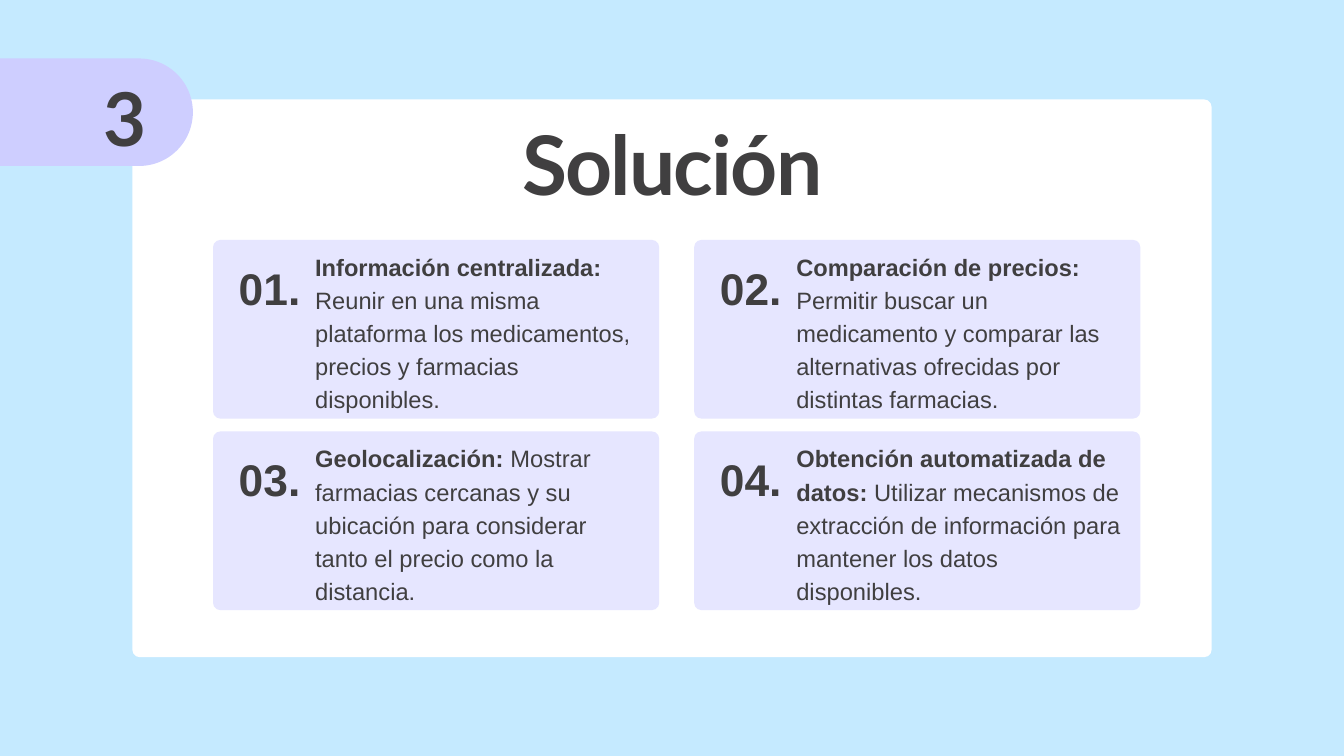
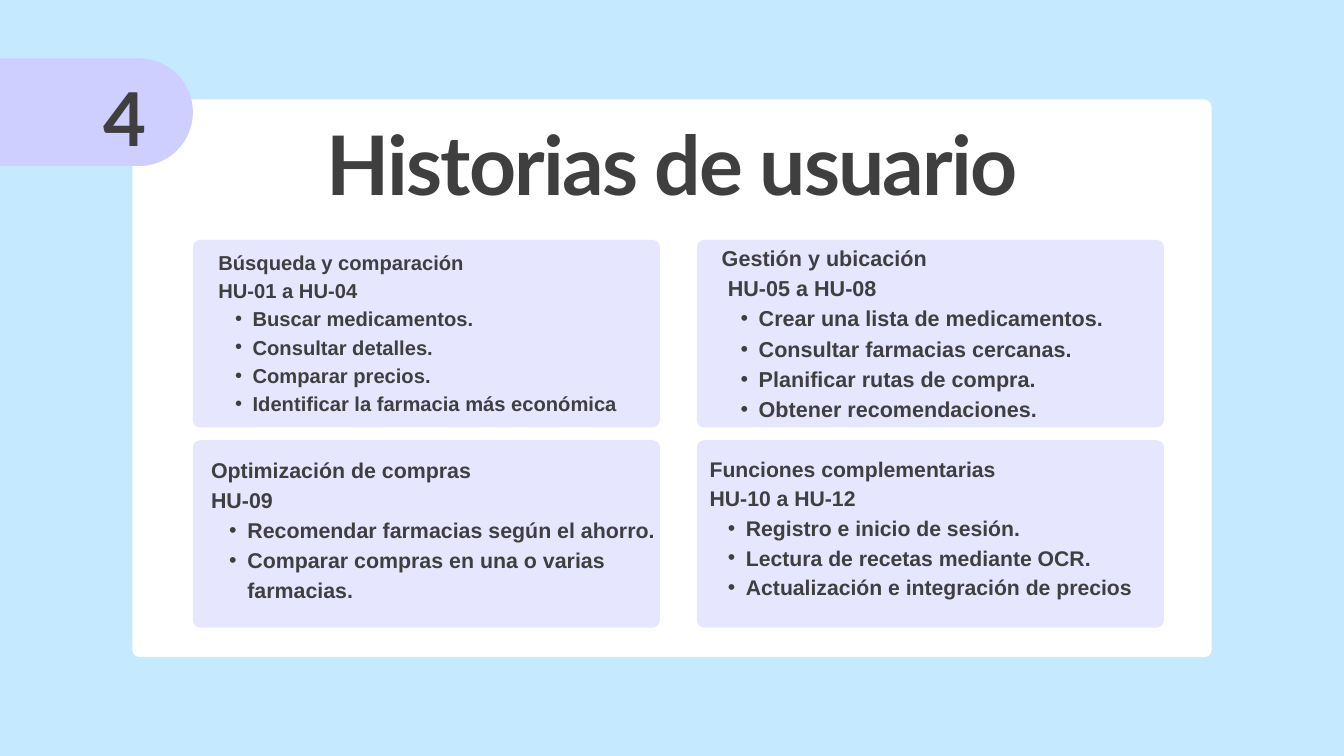
from lxml.etree import SubElement
from pptx import Presentation
from pptx.dml.color import RGBColor
from pptx.enum.shapes import MSO_SHAPE as SHAPE
from pptx.enum.text import PP_ALIGN as ALIGN
from pptx.oxml.ns import qn
from pptx.util import Pt

SKY = RGBColor(0xC5, 0xEA, 0xFF)
WHITE = RGBColor(0xFF, 0xFF, 0xFF)
LAVENDER = RGBColor(0xE6, 0xE6, 0xFF)
VIOLET = RGBColor(0xCE, 0xCE, 0xFF)
INK = RGBColor(0x40, 0x3F, 0x40)

SOLUTIONS = [
    ("01.", "Información centralizada:",
     " Reunir en una misma plataforma los medicamentos, precios y farmacias disponibles.", 25.3),
    ("02.", "Comparación de precios:",
     " Permitir buscar un medicamento y comparar las alternativas ofrecidas por distintas farmacias.", 25.3),
    ("03.", "Geolocalización:",
     " Mostrar farmacias cercanas y su ubicación para considerar tanto el precio como la distancia.", 25.4),
    ("04.", "Obtención automatizada de datos:",
     " Utilizar mecanismos de extracción de información para mantener los datos disponibles.", 25.4),
]

STORIES = [
    {"box": (325, 366, 633, 298), "size": 21.6, "leading": 30.3, "indent": 51, "hang": 26, "code_indent": 0,
     "heading": "Búsqueda y comparación", "code": "HU-01 a HU-04",
     "items": ["Buscar medicamentos.", "Consultar detalles.", "Comparar precios.",
               "Identificar la farmacia más económica"]},
    {"box": (1074, 358, 769, 313), "size": 23.1, "leading": 32.4, "indent": 55, "hang": 27, "code_indent": 9,
     "heading": "Gestión y ubicación", "code": "HU-05 a HU-08",
     "items": ["Crear una lista de medicamentos.", "Consultar farmacias cercanas.",
               "Planificar rutas de compra.", "Obtener recomendaciones."]},
    {"box": (314, 674, 688, 262), "size": 22.9, "leading": 32.1, "indent": 54, "hang": 27, "code_indent": 0,
     "heading": "Optimización de compras", "code": "HU-09",
     "items": ["Recomendar farmacias según el ahorro.",
               "Comparar compras en una o varias farmacias."]},
    {"box": (1056, 672, 658, 261), "size": 22.7, "leading": 31.8, "indent": 54, "hang": 27, "code_indent": 0,
     "heading": "Funciones complementarias", "code": "HU-10 a HU-12",
     "items": ["Registro e inicio de sesión.", "Lectura de recetas mediante OCR.",
               "Actualización e integración de precios"]},
]

PX = 9144
SLIDE_W, SLIDE_H = 2000, 1125
PANEL = (197, 148, 1606, 830)
TITLE_BOX = (176, 190, 1649, 130)
TAB_W, TAB_H, TAB_TOP = 287, 160, 87
NUMBER_BOX = (112, 85, 149, 148)
CORNER = 11
SOLUTION_GRID = {"left": 317, "top": 357, "w": 664, "h": 266, "step_x": 716, "step_y": 285}
STORY_GRID = {"left": 287, "top": 357, "w": 695, "h": 279, "step_x": 750, "step_y": 298}


def px(*values):
    return [round(v * PX) for v in values]


def add_filled(s, kind, box, color):
    sp = s.shapes.add_shape(kind, *px(*box))
    sp.shadow.inherit = False
    sp.fill.solid()
    sp.fill.fore_color.rgb = color
    sp.line.fill.background()
    return sp


def add_card(s, box, color):
    sp = add_filled(s, SHAPE.ROUNDED_RECTANGLE, box, color)
    sp.adjustments[0] = CORNER / min(box[2:])


def add_frame(s, box):
    tf = s.shapes.add_textbox(*px(*box)).text_frame
    tf.word_wrap = True
    for side in ("left", "top", "right", "bottom"):
        setattr(tf, f"margin_{side}", 0)
    return tf


def fill_paragraph(p, runs, size, leading, font="Arial", align=ALIGN.LEFT, tracking=0):
    p.alignment = align
    p.line_spacing = Pt(leading)
    for text, bold in runs:
        r = p.add_run()
        r.text = text
        for name, value in {"name": font, "size": Pt(size), "bold": bold}.items():
            setattr(r.font, name, value)
        r.font.color.rgb = INK
        if tracking:
            r._r.get_or_add_rPr().set("spc", str(round(tracking * 100)))


def set_indent(p, left, first=0):
    pPr = p._p.get_or_add_pPr()
    for name, value in zip(("marL", "indent"), px(left, first)):
        pPr.set(name, str(value))
    return pPr


def add_bullet(p, left, hang):
    pPr = set_indent(p, left, -hang)
    SubElement(pPr, qn("a:buFont")).set("typeface", "Arial")
    SubElement(pPr, qn("a:buChar")).set("char", "•")


def grid_boxes(grid):
    return [(grid["left"] + col * grid["step_x"], grid["top"] + row * grid["step_y"], grid["w"], grid["h"])
            for row in range(2) for col in range(2)]


def add_section(prs, number, title):
    s = prs.slides.add_slide(prs.slide_layouts[6])
    s.background.fill.solid()
    s.background.fill.fore_color.rgb = SKY
    add_card(s, PANEL, WHITE)
    fill_paragraph(add_frame(s, TITLE_BOX).paragraphs[0], [(title, True)], 88, 90.6, "Lato", ALIGN.CENTER, -1.9)
    shift = (TAB_W - TAB_H) / 2
    tab = add_filled(s, SHAPE.ROUND_2_SAME_RECTANGLE, (shift, TAB_TOP - shift, TAB_H, TAB_W), VIOLET)
    tab.adjustments[0] = 0.5
    tab.rotation = 90
    fill_paragraph(add_frame(s, NUMBER_BOX).paragraphs[0], [(number, True)], 79.5, 111.4, "Lato", ALIGN.CENTER, -1.8)
    return s


def add_solution(s, box, number, heading, detail, size):
    x, y = box[:2]
    add_card(s, box, LAVENDER)
    fill_paragraph(add_frame(s, (x - 14, y - 2, 144, 112)).paragraphs[0],
                   [(number, True)], 47.5, 80.8, align=ALIGN.RIGHT)
    fill_paragraph(add_frame(s, (x + 152, y + 12, 489, 245)).paragraphs[0],
                   [(heading, True), (detail, False)], size, 35.5)


def add_story(s, box, story):
    add_card(s, box, LAVENDER)
    tf = add_frame(s, story["box"])
    for i, text in enumerate([story["heading"], story["code"], *story["items"]]):
        p = tf.add_paragraph() if i else tf.paragraphs[0]
        fill_paragraph(p, [(text, True)], story["size"], story["leading"])
        if i > 1:
            p.level = 1
            add_bullet(p, story["indent"], story["hang"])
        elif i == 1:
            set_indent(p, story["code_indent"])


def main():
    prs = Presentation()
    prs.slide_width, prs.slide_height = px(SLIDE_W, SLIDE_H)
    s = add_section(prs, "3", "Solución")
    for box, solution in zip(grid_boxes(SOLUTION_GRID), SOLUTIONS):
        add_solution(s, box, *solution)
    s = add_section(prs, "4", "Historias de usuario")
    for box, story in zip(grid_boxes(STORY_GRID), STORIES):
        add_story(s, box, story)
    prs.save("out.pptx")


if __name__ == "__main__":
    main()
